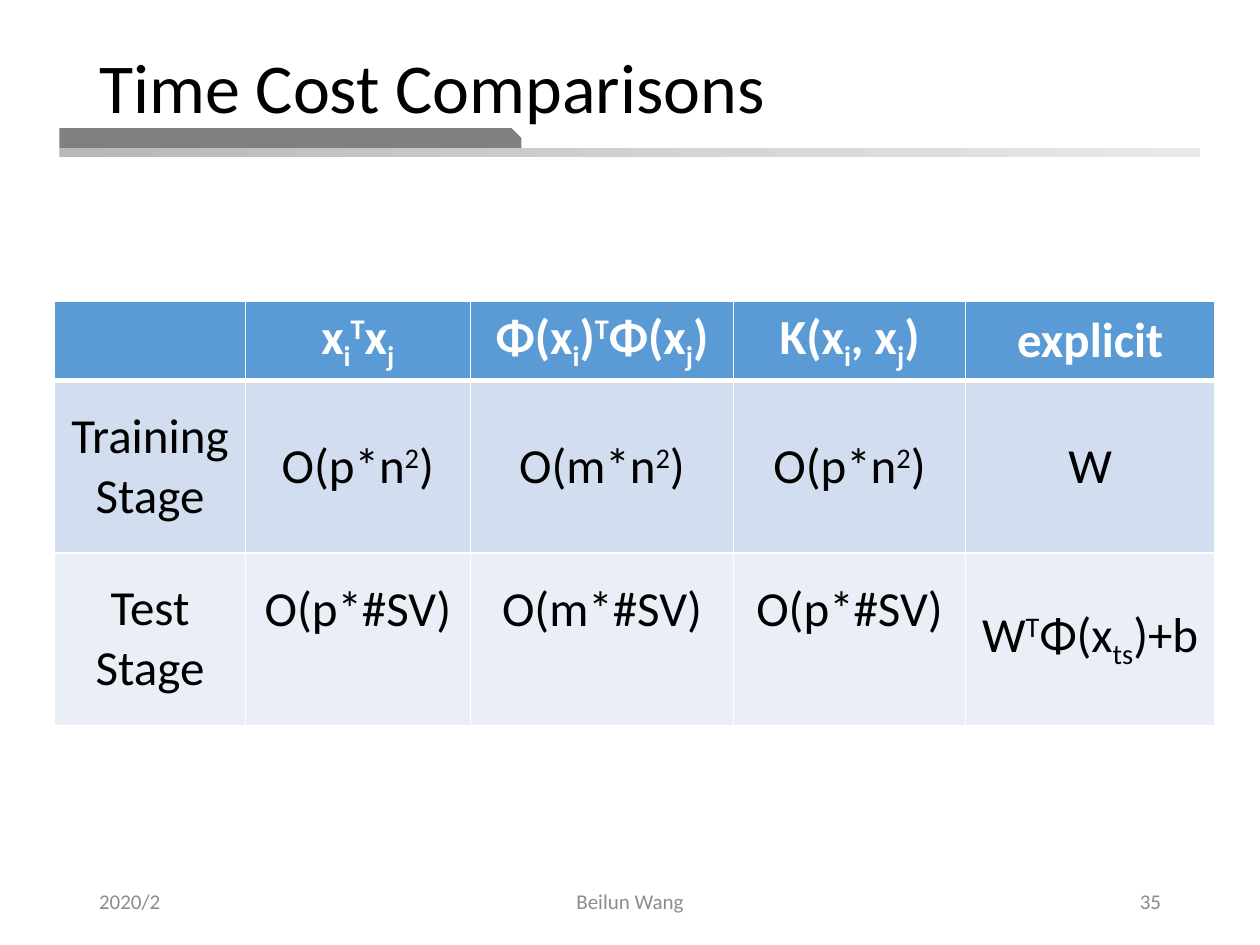
from lxml.etree import SubElement
from pptx import Presentation
from pptx.dml.color import RGBColor
from pptx.enum.shapes import MSO_SHAPE
from pptx.enum.text import MSO_ANCHOR, MSO_AUTO_SIZE, PP_ALIGN
from pptx.oxml.ns import qn
from pptx.util import Pt


def color(code):
    return RGBColor.from_string(code)


class Deck:
    FONT = "Calibri"
    BASELINES = {"_": "-25000", "^": "30000"}

    def __init__(self, slide):
        self.slide = slide

    def style(self, paragraph, size, code, align=PP_ALIGN.LEFT, bold=False):
        paragraph.alignment = align
        font = paragraph.font
        font.name, font.size, font.bold = self.FONT, Pt(size), bold
        font.color.rgb = color(code)

    def title(self, text, *box):
        title = self.slide.shapes.title
        title.left, title.top, title.width, title.height = map(Pt, box)
        frame = title.text_frame
        frame.text = text
        frame.auto_size = MSO_AUTO_SIZE.NONE
        frame.vertical_anchor = MSO_ANCHOR.MIDDLE
        self.style(frame.paragraphs[0], 40, "000000")
        frame.paragraphs[0].line_spacing = 0.9
        self.slide.shapes._spTree.append(title._element)

    def bar(self, preset, box, *codes):
        bar = self.slide.shapes.add_shape(preset, *map(Pt, box))
        bar.shadow.inherit = False
        bar.line.fill.background()
        if len(codes) == 1:
            bar.fill.solid()
            bar.fill.fore_color.rgb = color(codes[0])
        else:
            bar.fill.gradient()
            bar.fill.gradient_angle = 0
            for stop, code in zip(bar.fill.gradient_stops, codes):
                stop.color.rgb = color(code)
        return bar

    def footer(self, text, left, width, align):
        footer = self.slide.shapes.add_textbox(Pt(left), Pt(500.5), Pt(width), Pt(28.75))
        frame = footer.text_frame
        frame.word_wrap = True
        frame.vertical_anchor = MSO_ANCHOR.MIDDLE
        frame.text = text
        self.style(frame.paragraphs[0], 12, "8C8C8C", align)

    def borders(self, cell, bottom):
        properties = cell._tc.get_or_add_tcPr()
        for side, width in (("L", 1), ("R", 1), ("T", 1), ("B", bottom)):
            line = SubElement(properties, qn(f"a:ln{side}"), w=str(Pt(width)))
            fill = SubElement(line, qn("a:solidFill"))
            SubElement(fill, qn("a:srgbClr"), val="FFFFFF")

    def cell(self, cell, markup, fill, header):
        self.borders(cell, 3 if header else 1)
        cell.fill.solid()
        cell.fill.fore_color.rgb = color(fill)
        cell.vertical_anchor = MSO_ANCHOR.MIDDLE
        paragraph = cell.text_frame.paragraphs[0]
        self.style(paragraph, 28, "FFFFFF" if header else "000000", PP_ALIGN.CENTER, header)
        for part in filter(None, markup.split("|")):
            run = paragraph.add_run()
            run.text = part.lstrip("_^")
            if part[0] in self.BASELINES:
                run._r.get_or_add_rPr().set("baseline", self.BASELINES[part[0]])
        if "#SV" in markup:
            cell.margin_bottom = Pt(37)

    def table(self, rows, left, top, widths, heights, fills):
        table = self.slide.shapes.add_table(
            len(rows), len(widths), Pt(left), Pt(top), Pt(sum(widths)), Pt(sum(heights))
        ).table
        for column, width in zip(table.columns, widths):
            column.width = Pt(width)
        for index, (row, height, fill) in enumerate(zip(rows, heights, fills)):
            table.rows[index].height = Pt(height)
            for column, markup in enumerate(row):
                self.cell(table.cell(index, column), markup, fill, index == 0)


def main():
    presentation = Presentation()
    presentation.slide_width, presentation.slide_height = Pt(720), Pt(540)
    deck = Deck(presentation.slides.add_slide(presentation.slide_layouts[5]))

    deck.bar(MSO_SHAPE.RECTANGLE, (34, 84.5, 652, 5.5), "B8B8B8", "E9E9E9")
    tab = deck.bar(MSO_SHAPE.SNIP_1_RECTANGLE, (34, 73.25, 264, 11.25), "808080")
    tab.adjustments[0] = 0.5
    deck.title("Time Cost Comparisons", 49.5, 28.75, 603.5, 46)

    costs = [
        ["", "x|_i|^T|x|_j", "Φ(x|_i|)|^T|Φ(x|_j|)", "K(x|_i|, x|_j|)", "explicit"],
        ["Training Stage", "O(p*n|^2|)", "O(m*n|^2|)", "O(p*n|^2|)", "W"],
        ["Test Stage", "O(p*#SV)", "O(m*#SV)", "O(p*#SV)", "W|^T|Φ(x|_ts|)+b"],
    ]
    deck.table(costs, 31.25, 172.25, [109, 128.5, 150.5, 132.5, 142.5],
               [37.5, 98.5, 98.5], ["5B9BD5", "D2DEEF", "EAEFF7"])

    deck.footer("2020/2", 49.5, 162, PP_ALIGN.LEFT)
    deck.footer("Beilun Wang", 238.5, 243, PP_ALIGN.CENTER)
    deck.footer("35", 508.5, 162, PP_ALIGN.RIGHT)
    presentation.save("out.pptx")


if __name__ == "__main__":
    main()
